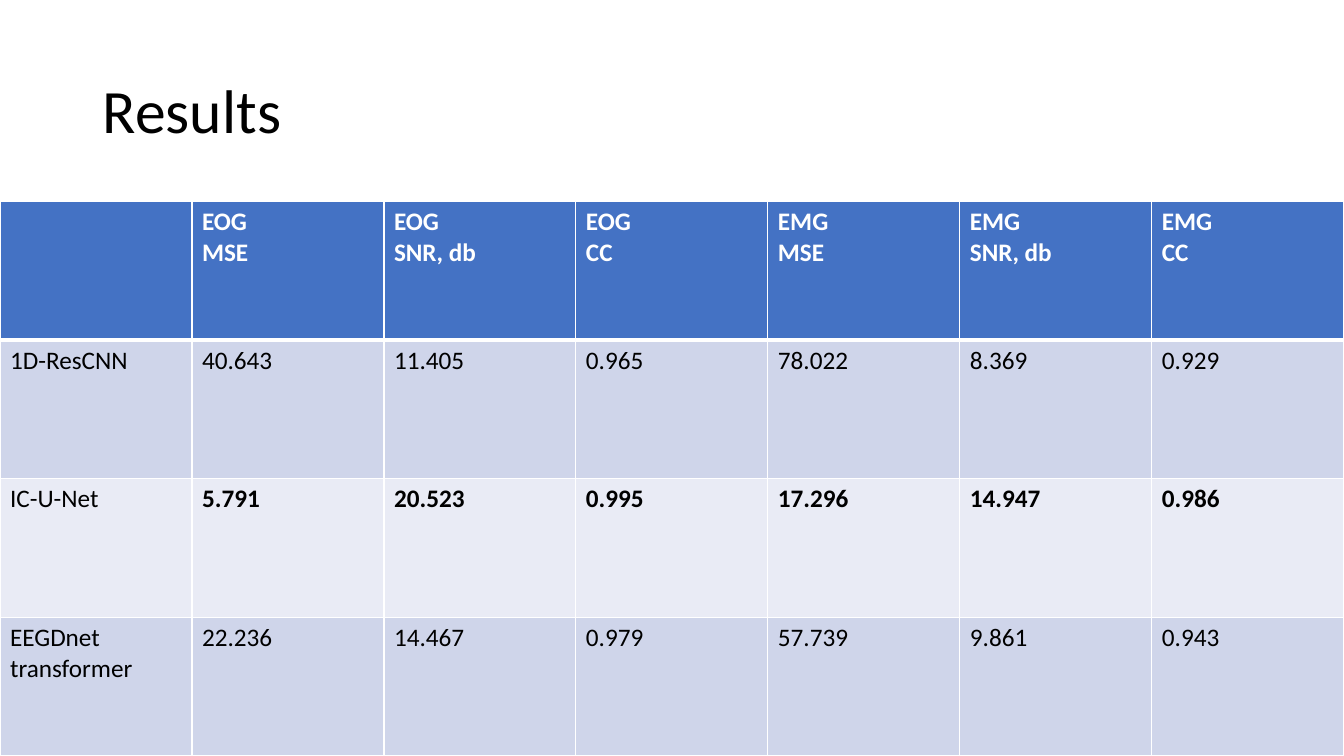
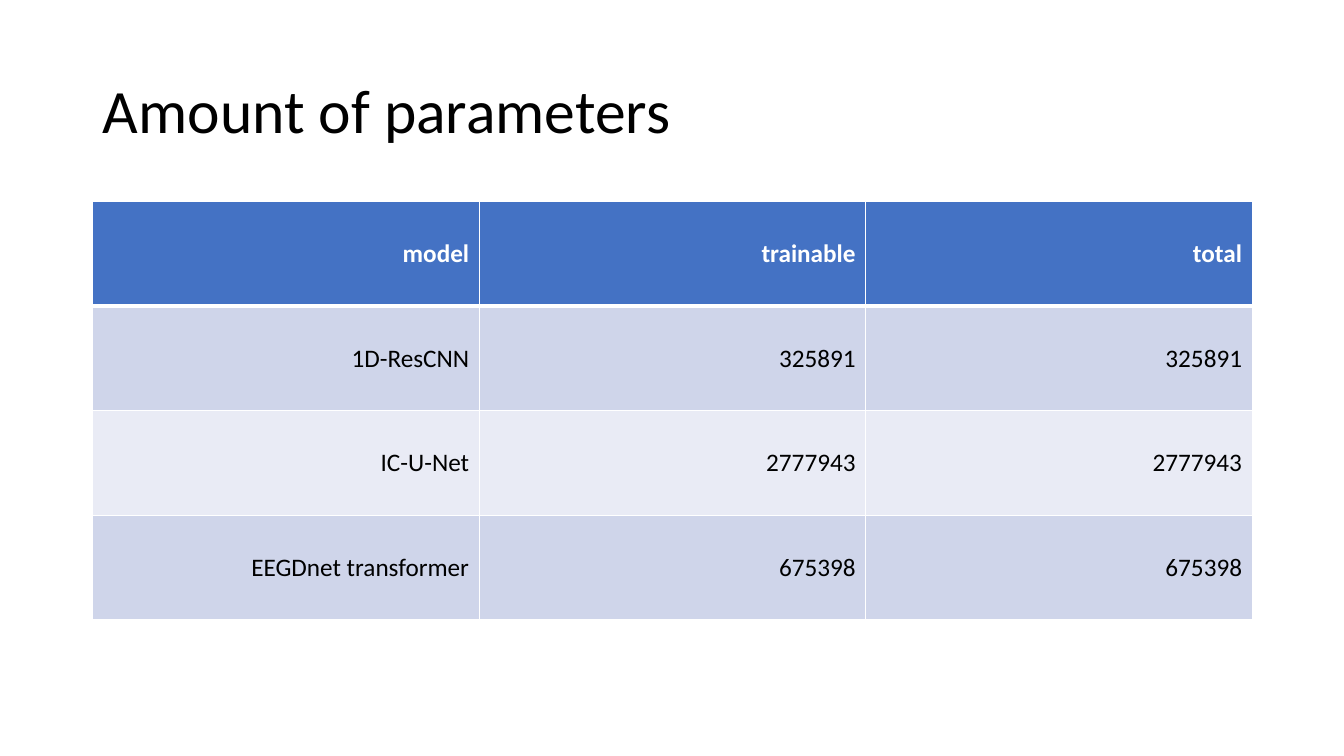
import pptx
import pptx.dml.color
import pptx.enum.text
import pptx.oxml
import pptx.oxml.ns
import pptx.util
import lxml.etree

Inches = pptx.util.Inches
Pt = pptx.util.Pt
RGBColor = pptx.dml.color.RGBColor
PP_ALIGN = pptx.enum.text.PP_ALIGN
MSO_ANCHOR = pptx.enum.text.MSO_ANCHOR

WHITE = RGBColor(0xFF, 0xFF, 0xFF)
BLACK = RGBColor(0x00, 0x00, 0x00)
HEADER_BLUE = RGBColor(0x44, 0x72, 0xC4)
BAND_DARK = RGBColor(0xCF, 0xD5, 0xEA)
BAND_LIGHT = RGBColor(0xE9, 0xEB, 0xF5)

FONT = "Calibri"
SLIDE_WIDTH, SLIDE_HEIGHT = Inches(13.33), Inches(7.5)
MARGIN = Inches(0.92)
CONTENT_WIDTH = Inches(11.5)
TABLE_TOP = Inches(2)
TITLE_BOX = (MARGIN, Inches(0.4), CONTENT_WIDTH, Inches(1.45))
TITLE_ONLY_LAYOUT = 5
THIN, THICK = Pt(1), Pt(3)

RESULTS = [
    ["", "EOG\nMSE", "EOG\nSNR, db", "EOG\nCC", "EMG\nMSE", "EMG\nSNR, db", "EMG\nCC"],
    ["1D-ResCNN", "40.643", "11.405", "0.965", "78.022", "8.369", "0.929"],
    ["IC-U-Net", "5.791", "20.523", "0.995", "17.296", "14.947", "0.986"],
    ["EEGDnet transformer", "22.236", "14.467", "0.979", "57.739", "9.861", "0.943"],
]
BEST_RESULT_ROW = 2

PARAMETERS = [
    ["model", "trainable", "total"],
    ["1D-ResCNN", "325891", "325891"],
    ["IC-U-Net", "2777943", "2777943"],
    ["EEGDnet transformer", "675398", "675398"],
]


def style_font(font, size, color, bold=False):
    font.name = FONT
    font.size = Pt(size)
    font.color.rgb = color
    font.bold = bold


def set_borders(cell, top, bottom):
    qn = pptx.oxml.ns.qn
    properties = cell._tc.get_or_add_tcPr()
    widths = {"a:lnL": THIN, "a:lnR": THIN, "a:lnT": top, "a:lnB": bottom}
    for tag, width in widths.items():
        line = lxml.etree.SubElement(properties, qn(tag), w=str(int(width)))
        fill = lxml.etree.SubElement(line, qn("a:solidFill"))
        lxml.etree.SubElement(fill, qn("a:srgbClr"), val=str(WHITE))


def add_titled_slide(deck, heading):
    slide = deck.slides.add_slide(deck.slide_layouts[TITLE_ONLY_LAYOUT])
    title = slide.shapes.title
    title.left, title.top, title.width, title.height = TITLE_BOX
    title.text_frame.text = heading
    title.text_frame.vertical_anchor = MSO_ANCHOR.MIDDLE
    paragraph = title.text_frame.paragraphs[0]
    paragraph.alignment = PP_ALIGN.LEFT
    paragraph.line_spacing = 0.9
    style_font(paragraph.font, 44, BLACK)
    return slide


def row_fill(row):
    if row == 0:
        return HEADER_BLUE
    return BAND_DARK if row % 2 else BAND_LIGHT


def add_banded_table(slide, box, rows, alignment, anchor, bold_row=None):
    left, top, width, height = box
    table = slide.shapes.add_table(len(rows), len(rows[0]), left, top, width, height).table
    for column in table.columns:
        column.width = int(width / len(rows[0]))
    for row, values in enumerate(rows):
        table.rows[row].height = int(height / len(rows))
        for column, value in enumerate(values):
            cell = table.cell(row, column)
            set_borders(cell, THICK if row == 1 else THIN, THICK if row == 0 else THIN)
            cell.fill.solid()
            cell.fill.fore_color.rgb = row_fill(row)
            cell.vertical_anchor = anchor
            cell.text = value
            bold = row == 0 or (row == bold_row and column > 0)
            for paragraph in cell.text_frame.paragraphs:
                paragraph.alignment = alignment
                style_font(paragraph.font, 18, BLACK if row else WHITE, bold)


def add_results_slide(deck):
    slide = add_titled_slide(deck, "Results")
    box = (0, TABLE_TOP, SLIDE_WIDTH, SLIDE_HEIGHT - TABLE_TOP)
    add_banded_table(slide, box, RESULTS, PP_ALIGN.LEFT, MSO_ANCHOR.TOP, BEST_RESULT_ROW)


def add_parameters_slide(deck):
    slide = add_titled_slide(deck, "Amount of parameters")
    box = (MARGIN, TABLE_TOP, CONTENT_WIDTH, Inches(4.15))
    add_banded_table(slide, box, PARAMETERS, PP_ALIGN.RIGHT, MSO_ANCHOR.MIDDLE)


def main():
    deck = pptx.Presentation()
    deck.slide_width, deck.slide_height = SLIDE_WIDTH, SLIDE_HEIGHT
    add_results_slide(deck)
    add_parameters_slide(deck)
    deck.save("out.pptx")


if __name__ == "__main__":
    main()
